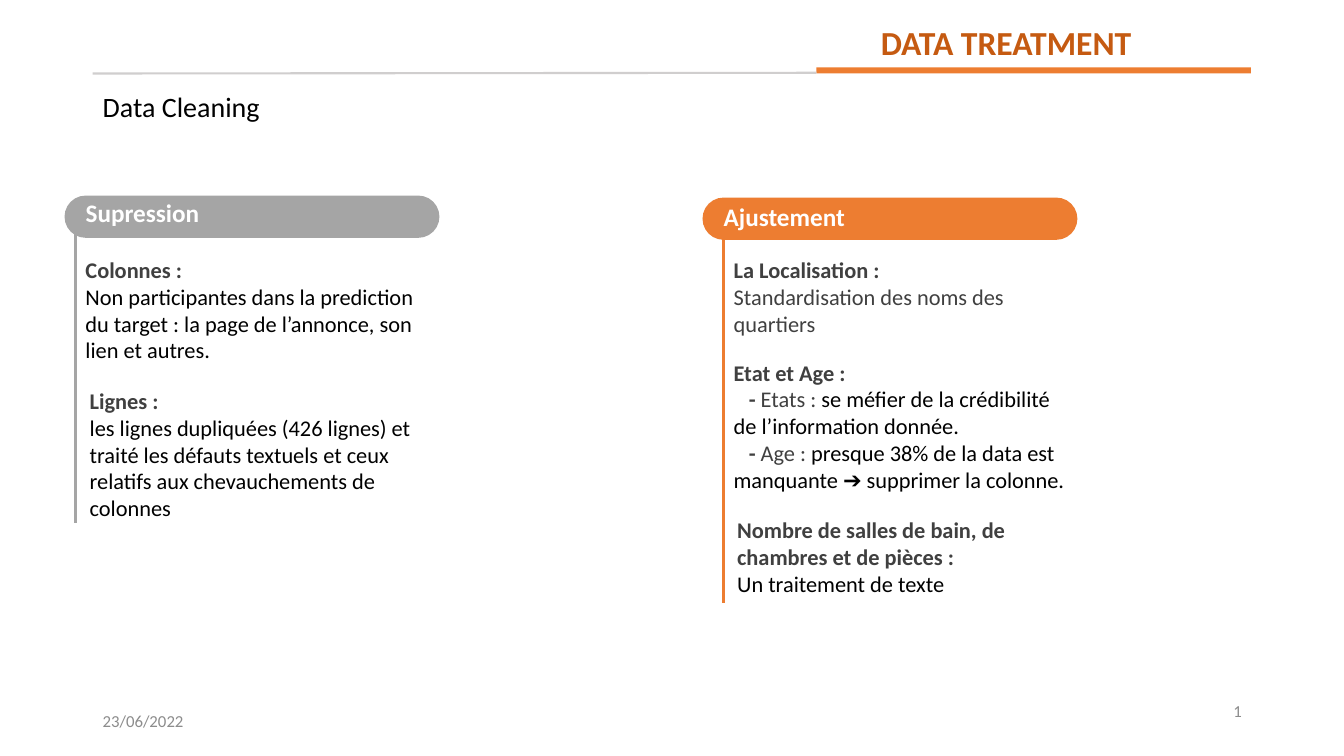
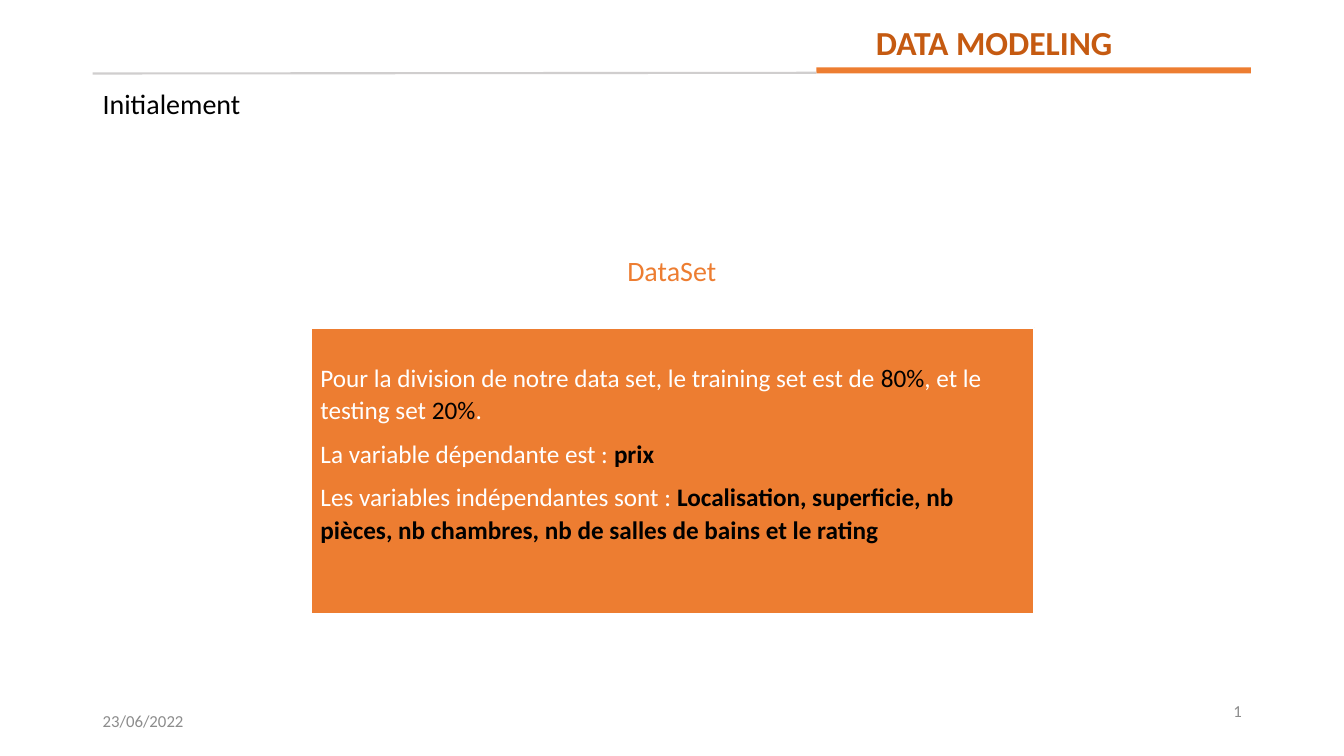
from pptx import Presentation
from pptx.dml.color import RGBColor
from pptx.enum.shapes import MSO_CONNECTOR, MSO_SHAPE
from pptx.enum.text import MSO_ANCHOR, PP_ALIGN
from pptx.util import Pt
from lxml.etree import SubElement
from pptx.oxml.ns import qn

TONES = {
    "orange": "ED7D31", "rust": "C55A11", "grey": "A5A5A5", "rule": "D0CECE",
    "dark": "404040", "foot": "8C8C8C", "black": "000000", "white": "FFFFFF",
}
TONES = {name: RGBColor.from_string(code) for name, code in TONES.items()}
FONT = "Calibri"


def write(frame, paras, size, anchor=MSO_ANCHOR.TOP, align=PP_ALIGN.LEFT):
    """Fill a text frame; each paragraph is a list of (text, tone, bold)."""
    frame.word_wrap = True
    frame.vertical_anchor = anchor
    for i, parts in enumerate(paras):
        para = frame.paragraphs[0] if i == 0 else frame.add_paragraph()
        para.alignment = align
        para.font.name = FONT
        para.font.size = Pt(size)
        for text, tone, bold in parts:
            run = para.add_run()
            run.text = text
            run.font.bold = bold
            run.font.color.rgb = TONES[tone]
        if parts[0][0] == "- ":
            para._p.get_or_add_pPr().set("indent", str(Pt(10.8)))
    return frame.paragraphs


def draw(shapes, kind, box, tone):
    """Add a line from (x1, y1) to (x2, y2), a text box, or a filled shape."""
    box = [Pt(n) for n in box]
    if kind == "line":
        item = shapes.add_connector(MSO_CONNECTOR.STRAIGHT, *box)
        item.line.color.rgb = TONES[tone]
        SubElement(item._element.spPr, qn("a:effectLst"))
    elif kind == "text":
        item = shapes.add_textbox(*box)
    else:
        item = shapes.add_shape(kind, *box)
        item.shadow.inherit = False
        item.fill.solid()
        item.fill.fore_color.rgb = TONES[tone]
        item.line.fill.background()
    return item


deck = Presentation()
deck.slide_width, deck.slide_height = Pt(960), Pt(540)

# Shared frame: title, rule, heading and footer
heads = [
    ("DATA TREATMENT", 622, "Data Cleaning", 63.4),
    ("DATA MODELING", 618.5, "Initialement", 61),
]
for name, left, topic, top in heads:
    slide = deck.slides.add_slide(deck.slide_layouts[5])
    shapes = slide.shapes
    draw(shapes, MSO_SHAPE.RECTANGLE, (583.2, 48.2, 310.3, 4.3), "orange")
    draw(shapes, "line", (583.2, 52, 66.2, 52.5), "rule").line.width = Pt(1.5)

    title = shapes.title
    title.left, title.top, title.width, title.height = [
        Pt(n) for n in (left, 12.2, 250, 36.5)]
    write(title.text_frame, [[(name, "rust", True)]], 24)

    head = draw(shapes, "text", (66.2, top, 387, 33), None)
    write(head.text_frame, [[(topic, "black", False)]], 20)[0].line_spacing = 0.9

    for text, x, y, align in [("23/06/2022", 66.2, 500.4, PP_ALIGN.LEFT),
                              ("1", 678.2, 493.2, PP_ALIGN.RIGHT)]:
        foot = draw(shapes, "text", (x, y, 216, 28.8), None)
        write(foot.text_frame, [[(text, "foot", False)]], 12,
              MSO_ANCHOR.MIDDLE, align)

# Slide 1: two cleaning steps
shapes = deck.slides[0].shapes
steps = [
    ("Supression", "grey", (46.1, 139.7), 137.5, (54, 165, 373.7), [
        (54, 179.3, [
            [("Colonnes :", "dark", True)],
            [("Non participantes dans la prediction du target : la page de "
              "l’annonce, son lien et autres.", "black", False)]]),
        (57, 272.9, [
            [("Lignes :", "dark", True)],
            [("les lignes dupliquées (426 lignes) et traité les défauts textuels "
              "et ceux relatifs aux chevauchements de colonnes", "black", False)]]),
    ]),
    ("Ajustement", "orange", (501.8, 141.1), 140.4, (517, 168.5, 430.6), [
        (517, 179.3, [
            [("La Localisation :", "dark", True)],
            [("Standardisation des noms des quartiers", "dark", False)]]),
        (517, 252.7, [
            [("Etat et Age :", "dark", True)],
            [("- ", "dark", True), ("Etats : ", "dark", False),
             ("se méfier de la crédibilité de l’information donnée.",
              "black", False)],
            [("- ", "dark", True), ("Age : ", "dark", False),
             ("presque 38% de la data est manquante ➔ supprimer la colonne.",
              "black", False)]]),
        (519.5, 365, [
            [("Nombre de salles de bain, de chambres et de pièces :",
              "dark", True)],
            [("Un traitement de texte", "black", False)]]),
    ]),
]
for name, tone, (left, top), base, (x, start, end), blocks in steps:
    pill = draw(shapes, MSO_SHAPE.ROUNDED_RECTANGLE, (left, top, 267.8, 30.2), tone)
    pill.adjustments[0] = 0.5
    label = draw(shapes, "text", (left + 8, base, 227, 29), None)
    write(label.text_frame, [[(name, "white", True)]], 18)
    draw(shapes, "line", (x, start, x, end), tone).line.width = Pt(2.25)
    for at, y, paras in blocks:
        note = draw(shapes, "text", (at, y, 256.3, 27 + 19.5 * len(paras)), None)
        write(note.text_frame, paras, 16)

# Slide 2: data set split
shapes = deck.slides[1].shapes
panel = draw(shapes, MSO_SHAPE.RECTANGLE, (221.8, 234, 517, 204.5), "orange")
panel.line.color.rgb = TONES["white"]
panel.line.width = Pt(1.5)
panel.text_frame.margin_bottom = Pt(30)
facts = [
    [("Pour la division de notre data set, le training set est de ", "white", False),
     ("80%", "black", False), (", et le testing set ", "white", False),
     ("20%", "black", False), (".", "white", False)],
    [("La variable dépendante est : ", "white", False), ("prix", "black", True)],
    [("Les variables indépendantes sont : ", "white", False),
     ("Localisation, superficie, nb pièces, nb chambres, nb de salles de bains "
      "et le rating", "black", True)],
]
for para in write(panel.text_frame, facts, 18, MSO_ANCHOR.MIDDLE):
    para.line_spacing = 1.07
    para.space_after = Pt(8)

label = draw(shapes, "text", (401, 175.7, 157.7, 31.7), None)
para = write(label.text_frame, [[("DataSet", "orange", False)]], 20,
             align=PP_ALIGN.CENTER)[0]
para.line_spacing = 1.07
para.space_before = Pt(2)

deck.save("out.pptx")
